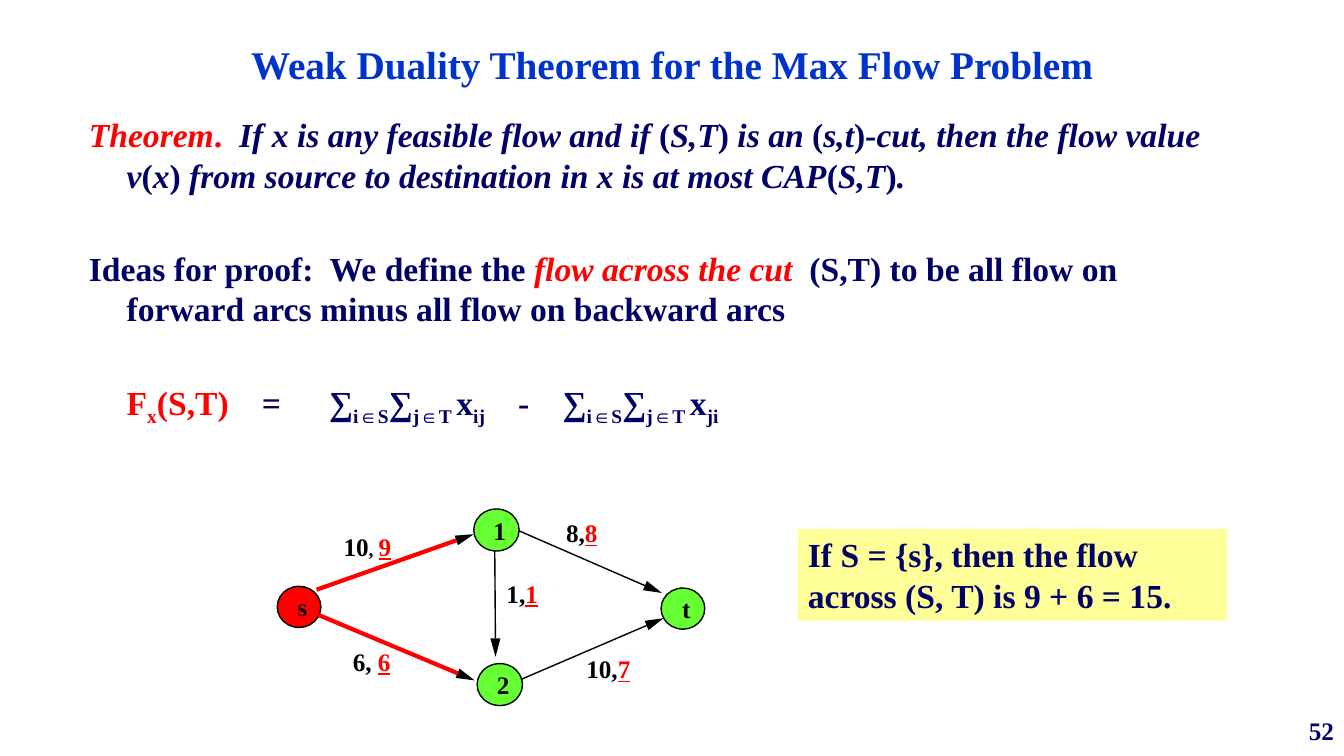
from dataclasses import dataclass
from math import hypot

from lxml import etree
from pptx import Presentation
from pptx.dml.color import RGBColor
from pptx.enum.shapes import MSO_CONNECTOR, MSO_SHAPE
from pptx.enum.text import MSO_ANCHOR, PP_ALIGN
from pptx.oxml.ns import qn
from pptx.util import Emu, Inches, Pt

STRAIGHT = MSO_CONNECTOR.STRAIGHT
ELLIPSE, RECTANGLE = MSO_SHAPE.OVAL, MSO_SHAPE.RECTANGLE
LEFT, CENTER, RIGHT = PP_ALIGN.LEFT, PP_ALIGN.CENTER, PP_ALIGN.RIGHT
TOP, MIDDLE, BOTTOM = MSO_ANCHOR.TOP, MSO_ANCHOR.MIDDLE, MSO_ANCHOR.BOTTOM

FONT = "Times New Roman"
COLORS = {"title": "0033CC", "text": "000066", "accent": "FF0000",
          "ink": "000000", "node": "66FF33", "note": "FFFF99"}

# The slide is a grid of 160 columns by 90 rows of square cells.
CELL = Inches(1) / 12
COLUMNS, ROWS = 160, 90
HEAD_LENGTH, HEAD_HALF_WIDTH = 2.2, 0.6
HANGING = 4.5
FORMULA_TABS = (4.5, 20.6, 28.6, 51.1, 56.4)
BLOCK_GAP = 38


@dataclass(frozen=True)
class Run:
    text: str
    color: str = "text"
    italic: bool = False
    subscript: bool = False
    underline: bool = False
    size: int = 24


@dataclass(frozen=True)
class Node:
    name: str
    column: float
    row: float
    width: float
    height: float
    color: str = "node"


@dataclass(frozen=True)
class Arc:
    start: tuple[float, float]
    tip: tuple[float, float]
    color: str = "ink"
    weight: int = 1


@dataclass(frozen=True)
class FlowLabel:
    column: float
    row: float
    capacity: str
    separator: str
    flow: str
    separator_size: int = 18


THEOREM = [
    Run("Theorem", "accent", italic=True), Run(".  ", "accent"),
    Run("If x is any feasible flow and if ", italic=True), Run("("),
    Run("S,T", italic=True), Run(")"), Run(" is an ", italic=True), Run("("),
    Run("s,t", italic=True), Run(")"),
    Run("-cut, then the flow value v", italic=True), Run("("),
    Run("x", italic=True), Run(")"),
    Run(" from source to destination in x is at most CAP", italic=True),
    Run("("), Run("S,T", italic=True), Run(")"), Run(".", italic=True),
]
PROOF_IDEA = [
    Run("Ideas for proof:  We define the "),
    Run("flow across the cut ", "accent", italic=True),
    Run(" (S,T) to be all flow on forward arcs minus all flow on backward arcs"),
]
DOUBLE_SUM = [Run("∑"), Run("i∈S", subscript=True), Run("∑"),
              Run("j∈T ", subscript=True), Run("x")]
FORMULA = [
    Run("\tF", "accent"), Run("x", "accent", subscript=True),
    Run("(S,T)", "accent"), Run("\t=\t"),
    *DOUBLE_SUM, Run("ij", subscript=True), Run("\t-\t"),
    *DOUBLE_SUM, Run("ji", subscript=True),
]
NODES = [
    Node("s", 33, 69.8, 5.2, 4.9, "accent"),
    Node("1", 56.4, 60.6, 5.4, 5),
    Node("2", 56.8, 79, 5.4, 5),
    Node("t", 78.7, 70, 5.2, 4.9),
]
ARCS = [
    Arc((37.7, 70.2), (56.4, 63.6), "accent", 3),
    Arc((37.9, 73.2), (56.5, 81), "accent", 3),
    Arc((61.8, 63.2), (78.8, 70.6)),
    Arc((62, 80.9), (79, 73.6)),
    Arc((58.9, 65.6), (59, 78.2)),
]
FLOW_LABELS = [
    FlowLabel(40.9, 63.2, "10", ", ", "9", separator_size=14),
    FlowLabel(67.4, 61.6, "8", ",", "8"),
    FlowLabel(60.3, 68.8, "1", ",", "1"),
    FlowLabel(69.8, 77.8, "10", ",", "7"),
    FlowLabel(42, 76.9, "6", ", ", "6"),
]


def grid(*cells: float) -> list[Emu]:
    return [Emu(round(cell * CELL)) for cell in cells]


def rgb(name: str) -> RGBColor:
    return RGBColor.from_string(COLORS[name])


def add_runs(paragraph, runs: list[Run]) -> None:
    for item in runs:
        run = paragraph.add_run()
        run.text = item.text
        font = run.font
        font.name, font.size, font.bold = FONT, Pt(item.size), True
        font.italic, font.underline = item.italic, item.underline
        font.color.rgb = rgb(item.color)
        if item.subscript:
            font._element.set("baseline", "-25000")


def write(shape, runs: list[Run], align=LEFT, anchor=TOP, wrap: bool = True) -> None:
    frame = shape.text_frame
    frame.word_wrap, frame.vertical_anchor = wrap, anchor
    frame.paragraphs[0].alignment = align
    add_runs(frame.paragraphs[0], runs)


def set_margins(shape, left: float = 0) -> None:
    frame = shape.text_frame
    frame.margin_left = grid(left)[0]
    frame.margin_top = frame.margin_right = frame.margin_bottom = 0


def add_body(slide) -> None:
    frame = slide.shapes.add_textbox(*grid(9.4, 13, 135.2, 67)).text_frame
    frame.word_wrap = True
    hanging = grid(HANGING)[0]
    for index, runs in enumerate((THEOREM, PROOF_IDEA, FORMULA)):
        paragraph = frame.add_paragraph() if index else frame.paragraphs[0]
        properties = paragraph._p.get_or_add_pPr()
        if runs is FORMULA:
            tabs = etree.SubElement(properties, qn("a:tabLst"))
            for position in grid(*FORMULA_TABS):
                etree.SubElement(tabs, qn("a:tab"), pos=str(position), algn="l")
        else:
            properties.set("marL", str(hanging))
            properties.set("indent", str(-hanging))
        if index:
            paragraph.space_before = Pt(BLOCK_GAP)
        add_runs(paragraph, runs)


def add_filled(slide, kind, box: tuple[float, ...], color: str):
    shape = slide.shapes.add_shape(kind, *grid(*box))
    shape.shadow.inherit = False
    shape.fill.solid()
    shape.fill.fore_color.rgb = rgb(color)
    shape.line.fill.background()
    return shape


def add_node(slide, node: Node) -> None:
    box = (node.column, node.row, node.width, node.height)
    shape = add_filled(slide, ELLIPSE, box, node.color)
    shape.line.color.rgb = rgb("ink")
    shape.line.width = Pt(1)
    set_margins(shape, left=0.8)
    write(shape, [Run(node.name, "ink", size=18)], CENTER, MIDDLE, wrap=False)


def add_arc(slide, arc: Arc) -> None:
    """Draw a line that stops at the base of a black arrowhead."""
    (start_x, start_y), (tip_x, tip_y) = arc.start, arc.tip
    length = hypot(tip_x - start_x, tip_y - start_y)
    unit_x, unit_y = (tip_x - start_x) / length, (tip_y - start_y) / length
    base_x, base_y = tip_x - HEAD_LENGTH * unit_x, tip_y - HEAD_LENGTH * unit_y
    side_x, side_y = -HEAD_HALF_WIDTH * unit_y, HEAD_HALF_WIDTH * unit_x

    builder = slide.shapes.build_freeform(*grid(tip_x, tip_y))
    builder.add_line_segments([grid(base_x + side_x, base_y + side_y),
                               grid(base_x - side_x, base_y - side_y)], close=True)
    head = builder.convert_to_shape()
    head.shadow.inherit = False
    head.fill.solid()
    head.fill.fore_color.rgb = rgb("ink")
    head.line.fill.background()

    line = slide.shapes.add_connector(STRAIGHT, *grid(start_x, start_y, base_x, base_y))
    line.line.color.rgb = rgb(arc.color)
    line.line.width = Pt(arc.weight)
    etree.SubElement(line._element.spPr, qn("a:effectLst"))


def add_flow_label(slide, label: FlowLabel) -> None:
    shape = slide.shapes.add_textbox(*grid(label.column, label.row, 6, 4.8))
    set_margins(shape)
    write(shape, [Run(label.capacity, "ink", size=18),
                  Run(label.separator, "ink", size=label.separator_size),
                  Run(label.flow, "accent", underline=True, size=18)], wrap=False)


def main() -> None:
    presentation = Presentation()
    presentation.slide_width, presentation.slide_height = grid(COLUMNS, ROWS)
    slide = presentation.slides.add_slide(presentation.slide_layouts[5])
    title = slide.shapes.title
    title.left, title.top, title.width, title.height = grid(20, 4, 120, 7)
    write(title, [Run("Weak Duality Theorem for the Max Flow Problem", "title", size=28)],
          CENTER, BOTTOM)
    add_body(slide)
    for node in NODES:
        add_node(slide, node)
    for arc in ARCS:
        add_arc(slide, arc)
    for label in FLOW_LABELS:
        add_flow_label(slide, label)
    note = add_filled(slide, RECTANGLE, (95, 63, 51.1, 10.9), "note")
    write(note, [Run("If S = {s}, then the flow across (S, T) is 9 + 6 = 15.")])
    page_number = slide.shapes.add_textbox(*grid(129.3, 84, 30.7, 6))
    write(page_number, [Run("52", size=18)], RIGHT, MIDDLE, wrap=False)
    presentation.save("out.pptx")


if __name__ == "__main__":
    main()
